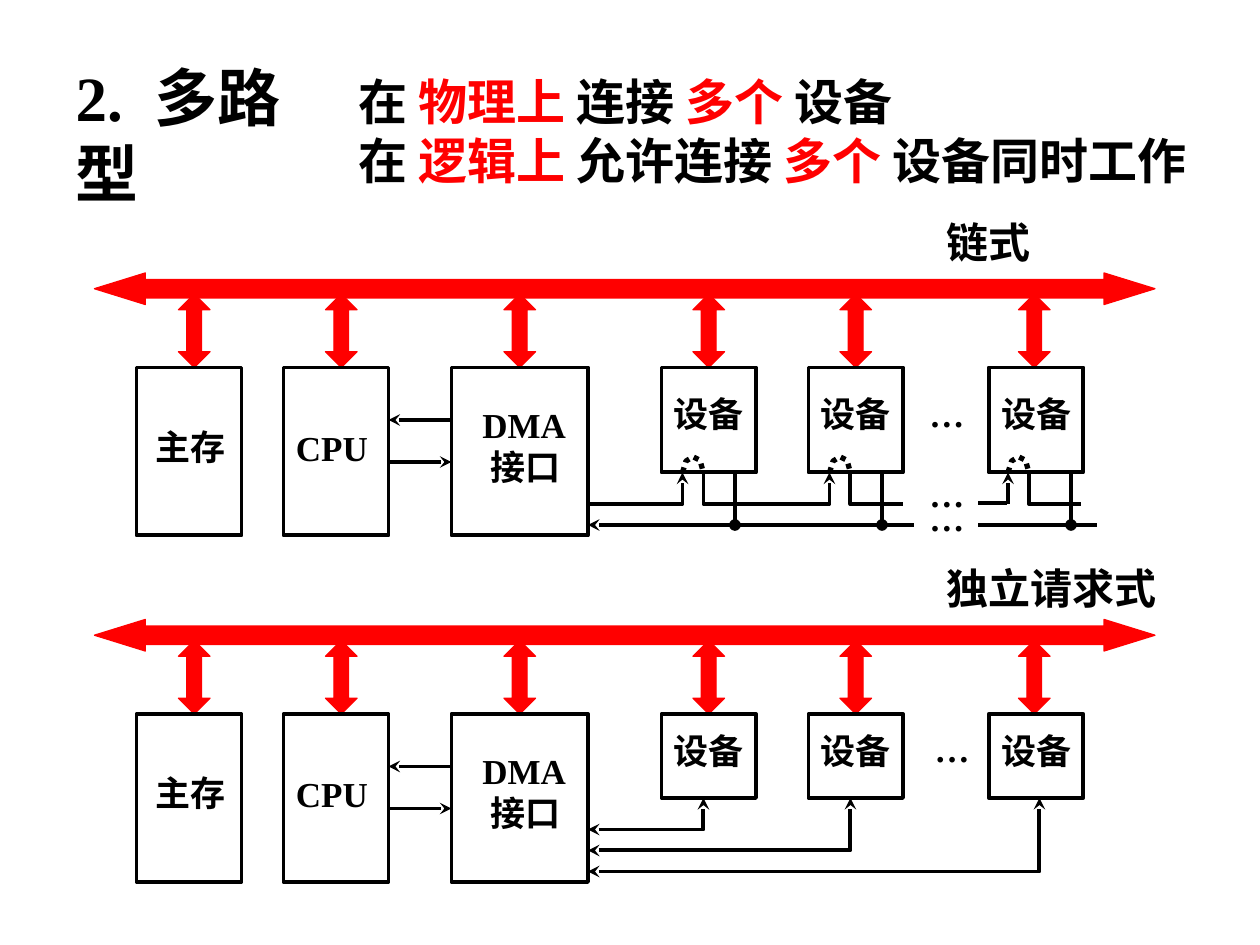
from lxml.etree import SubElement
from pptx import Presentation
from pptx.dml.color import RGBColor
from pptx.enum.dml import MSO_LINE
from pptx.enum.shapes import MSO_CONNECTOR, MSO_SHAPE
from pptx.enum.text import MSO_ANCHOR, MSO_AUTO_SIZE, PP_ALIGN
from pptx.oxml.ns import qn
from pptx.util import Pt

COLORS = {"black": "000000", "red": "FF0000"}
FONT = "Times New Roman"
BUS_ARROW_LEFTS = (102, 186, 288, 396, 480, 582)
DEVICE_LEFTS = (378, 462, 565)
DMA_RIGHT = 336


def color(name):
    return RGBColor.from_string(COLORS[name])


def write_text(shape, text, size=20, wrap=False):
    """Each line of text is a paragraph; pieces between bars alternate black and red."""
    frame = shape.text_frame
    frame.word_wrap = wrap
    frame.auto_size = MSO_AUTO_SIZE.NONE
    frame.vertical_anchor = MSO_ANCHOR.TOP
    for index, line in enumerate(text.split("\n")):
        paragraph = frame.add_paragraph() if index else frame.paragraphs[0]
        paragraph.alignment = PP_ALIGN.LEFT
        for number, piece in enumerate(line.split("|")):
            run = paragraph.add_run()
            run.text = piece
            run.font.name = FONT
            run.font.size = Pt(size)
            run.font.bold = True
            run.font.color.rgb = color("red" if number % 2 else "black")


def add_title(slide):
    title = slide.shapes.title
    title.left, title.top, title.width, title.height = Pt(36), Pt(30), Pt(159), Pt(51)
    write_text(title, "2.|\u0020|多路型", size=36, wrap=True)
    space = title.text_frame.paragraphs[0].runs[1]
    space._r.get_or_add_rPr().set("spc", "900")


def add_label(slide, text, left, top, width, height=31, **text_format):
    box = slide.shapes.add_textbox(Pt(left), Pt(top), Pt(width), Pt(height))
    write_text(box, text, **text_format)


def style_line(line, width=2.25, head=None, tail=None):
    line.color.rgb = color("black")
    line.width = Pt(width)
    properties = line._get_or_add_ln()
    for tag, arrow in (("a:headEnd", head), ("a:tailEnd", tail)):
        if arrow:
            SubElement(properties, qn(tag), type=arrow)


def add_box(slide, left, top, width, height):
    box = slide.shapes.add_shape(MSO_SHAPE.RECTANGLE, Pt(left), Pt(top), Pt(width), Pt(height))
    box.shadow.inherit = False
    box.fill.background()
    style_line(box.line)


def add_red_arrow(slide, kind, left, top, width, height, adjustments):
    arrow = slide.shapes.add_shape(kind, Pt(left), Pt(top), Pt(width), Pt(height))
    arrow.shadow.inherit = False
    arrow.fill.solid()
    arrow.fill.fore_color.rgb = color("red")
    arrow.line.color.rgb = color("red")
    arrow.line.width = Pt(0.75)
    for index, value in enumerate(adjustments):
        arrow.adjustments[index] = value


def add_line(slide, start, end, tail=None):
    points = [Pt(value) for value in (*start, *end)]
    connector = slide.shapes.add_connector(MSO_CONNECTOR.STRAIGHT, *points)
    SubElement(connector._element.spPr, qn("a:effectLst"))
    style_line(connector.line, tail=tail)


def add_path(slide, points, **line_format):
    start, *others = [(Pt(x), Pt(y)) for x, y in points]
    builder = slide.shapes.build_freeform(*start)
    builder.add_line_segments(others, close=False)
    path = builder.convert_to_shape()
    path.shadow.inherit = False
    path.fill.background()
    style_line(path.line, **line_format)
    return path


def add_system(slide, top, heading, heading_width, device_height, device_label_top):
    box_top = top + 54
    add_label(slide, heading, 534, top - 36, heading_width, 36, size=24, wrap=True)
    add_red_arrow(slide, MSO_SHAPE.LEFT_RIGHT_ARROW, 54, top, 606, 18, (0.583, 1.613))
    for left in BUS_ARROW_LEFTS:
        add_red_arrow(slide, MSO_SHAPE.UP_DOWN_ARROW, left, top + 12, 18, 42, (0.5, 0.467))
    for left, width in ((78, 60), (162, 60), (258, 78)):
        add_box(slide, left, box_top, width, 96)
    add_label(slide, "主存", 82, top + 83.5, 55)
    add_label(slide, "CPU", 162, top + 84, 55)
    add_label(slide, "DMA\n 接口", 268.5, top + 71, 63, 55)
    for left in DEVICE_LEFTS:
        add_box(slide, left, box_top, 54, device_height)
        add_label(slide, "设备", left, device_label_top, 55)
    add_line(slide, (258, top + 84), (222, top + 84), tail="stealth")
    add_line(slide, (222, top + 108), (258, top + 108), tail="stealth")


def add_chain_wiring(slide):
    device_bottom, chain, shared = 270, 288, 300
    add_path(slide, [(DMA_RIGHT, chain), (390, chain), (390, device_bottom)], tail="stealth")
    add_path(slide, [(402, device_bottom), (402, chain), (474, chain), (474, device_bottom)],
             tail="stealth")
    for left in (486, 588):
        add_path(slide, [(left, device_bottom), (left, chain), (left + 30, chain)])
    add_line(slide, (559, 287.3), (575.5, 287.3))
    add_line(slide, (576, chain), (576, device_bottom), tail="stealth")
    add_line(slide, (522, shared), (DMA_RIGHT, shared), tail="stealth")
    add_line(slide, (559, shared), (627, shared))
    for left in (420, 504, 612):
        add_line(slide, (left, device_bottom), (left, shared), tail="oval")
    arc = ((0, 0), (2, -6.5), (6, -9), (10, -7), (12, 0))
    for left in (390, 474, 576):
        bypass = add_path(slide, [(left + x, device_bottom + y) for x, y in arc], width=3)
        bypass.line.dash_style = MSO_LINE.ROUND_DOT
    add_label(slide, "…", 524, 220.5, 35)
    for top in (266.5, 280):
        add_label(slide, "…", 524, top, 108, wrap=True)


def add_request_wiring(slide):
    for right, level in ((402, 474), (486, 486), (594, 498)):
        add_path(slide, [(DMA_RIGHT, level), (right, level), (right, 456)],
                 head="stealth", tail="stealth")
    add_label(slide, "…", 527, 412, 35)


def main():
    presentation = Presentation()
    presentation.slide_width, presentation.slide_height = Pt(720), Pt(540)
    slide = presentation.slides.add_slide(presentation.slide_layouts[5])
    add_title(slide)
    add_label(slide, "在 |物理上 |连接 |多个 |设备\n在 |逻辑上 |允许连接 |多个 |设备同时工作",
              198, 37.5, 522, 74, size=28, wrap=True)
    add_system(slide, 156, "链式", 96, 60, 221)
    add_chain_wiring(slide)
    add_system(slide, 354, "独立请求式", 180, 48, 413.5)
    add_request_wiring(slide)
    presentation.save("out.pptx")


if __name__ == "__main__":
    main()
